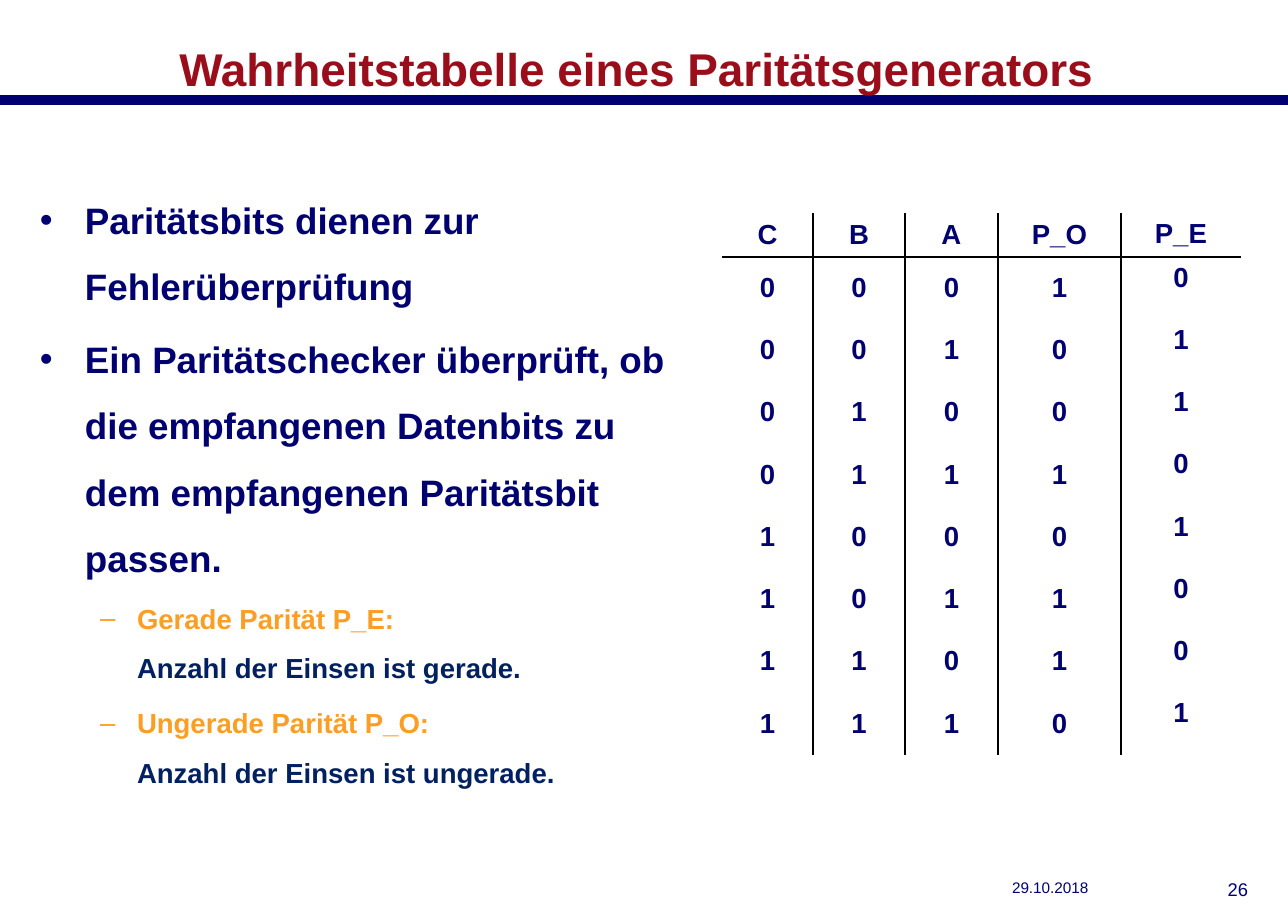
from itertools import product

from lxml.etree import SubElement
from pptx import Presentation
from pptx.dml.color import RGBColor
from pptx.enum.shapes import MSO_CONNECTOR as Connector
from pptx.enum.text import MSO_ANCHOR as Anchor, PP_ALIGN as Align
from pptx.oxml.ns import qn
from pptx.util import Pt

PX = 8298
NAVY = RGBColor(0x00, 0x00, 0x70)
RED = RGBColor(0x9A, 0x0E, 0x1B)
ORANGE = RGBColor(0xFB, 0x9E, 0x23)
DARK_BLUE = RGBColor(0x00, 0x20, 0x60)
NO_STYLE = "{2D5ABB26-0587-4C30-8999-92F81FD0307C}"


def write(paragraph, text, size=18, color=NAVY, bold=True, align=Align.LEFT):
    paragraph.alignment = align
    run = paragraph.add_run()
    run.text = text
    run.font.name = "Arial"
    run.font.size = Pt(size)
    run.font.bold = bold
    run.font.color.rgb = color


def add_border(cell, side, width):
    line = SubElement(cell._tc.get_or_add_tcPr(), qn(f"a:ln{side}"), w=str(Pt(width)))
    if width:
        fill = SubElement(line, qn("a:solidFill"))
        SubElement(fill, qn("a:srgbClr"), val="000000")
    else:
        SubElement(line, qn("a:noFill"))


prs = Presentation()
prs.slide_width = 1288 * PX
prs.slide_height = 911 * PX
slide = prs.slides.add_slide(prs.slide_layouts[6])

stripe = slide.shapes.add_connector(Connector.STRAIGHT, 0, 100 * PX, 1288 * PX, 100 * PX)
stripe.line.color.rgb = NAVY
stripe.line.width = Pt(7.09)
SubElement(stripe._element.spPr, qn("a:effectLst"))

labels = [
    ((1000, 873, 182, 39), "29.10.2018", Anchor.TOP, dict(size=10, bold=False)),
    ((1199, 873, 61, 39), "26", Anchor.TOP, dict(size=12, bold=False, align=Align.RIGHT)),
    ((21, 31, 1231, 75), "Wahrheitstabelle eines Paritätsgenerators", Anchor.MIDDLE,
     dict(size=30, color=RED, align=Align.CENTER)),
]
for box, text, anchor, style in labels:
    frame = slide.shapes.add_textbox(*[value * PX for value in box]).text_frame
    frame.word_wrap = True
    frame.vertical_anchor = anchor
    frame.margin_left = frame.margin_right = 12 * PX
    write(frame.paragraphs[0], text, **style)

explanation = slide.shapes.add_textbox(28 * PX, 170 * PX, 660 * PX, 694 * PX).text_frame
explanation.word_wrap = True
explanation.margin_left = explanation.margin_right = 12 * PX
points = [
    (0, "Paritätsbits dienen zur Fehlerüberprüfung", None),
    (0, "Ein Paritätschecker überprüft, ob die empfangenen Datenbits zu "
        "dem empfangenen Paritätsbit passen.", None),
    (1, "Gerade Parität P_E:", "Anzahl der Einsen ist gerade."),
    (1, "Ungerade Parität P_O:", "Anzahl der Einsen ist ungerade."),
]
levels = [("•", 45, 45, 24, NAVY), ("–", 97, 37, 18, ORANGE)]
for index, (level, lead, detail) in enumerate(points):
    bullet, margin, hanging, size, color = levels[level]
    point = explanation.add_paragraph() if index else explanation.paragraphs[0]
    point.level = level
    point.line_spacing = 1.5
    point.space_before = Pt(size * 0.2)
    properties = point._p.get_or_add_pPr()
    properties.set("marL", str(margin * PX))
    properties.set("indent", str(-hanging * PX))
    SubElement(properties, qn("a:buFont"), typeface="Arial")
    SubElement(properties, qn("a:buChar"), char=bullet)
    write(point, lead, size=size, color=color)
    if detail:
        point.add_line_break()
        write(point, detail, size=size, color=DARK_BLUE)

truth_rows = [("C", "B", "A", "P_O", "P_E")]
for bits in product((0, 1), repeat=3):
    parity = sum(bits) % 2
    truth_rows.append((*bits, 1 - parity, parity))

column_widths = [91, 92, 93, 123, 120]
row_edges = [0] + [44 + step * 498 // 8 for step in range(9)]
column_rules = [0, 1, 1, 2, 1, 0]
truth_table = slide.shapes.add_table(
    9, 5, 722 * PX, 213 * PX, sum(column_widths) * PX, row_edges[-1] * PX).table
truth_table.first_row = False
truth_table.horz_banding = False
truth_table._tbl.tblPr.find(qn("a:tableStyleId")).text = NO_STYLE

for column, width in zip(truth_table.columns, column_widths):
    column.width = width * PX
for r, values in enumerate(truth_rows):
    truth_table.rows[r].height = (row_edges[r + 1] - row_edges[r]) * PX
    for c, value in enumerate(values):
        cell = truth_table.cell(r, c)
        cell.vertical_anchor = Anchor.TOP if c == 4 else Anchor.MIDDLE
        write(cell.text_frame.paragraphs[0], str(value), align=Align.CENTER)
        add_border(cell, "L", column_rules[c])
        add_border(cell, "R", column_rules[c + 1])
        add_border(cell, "T", 2 if r == 1 else 0)
        add_border(cell, "B", 2 if r == 0 else 0)
        cell.fill.background()

prs.save("out.pptx")
